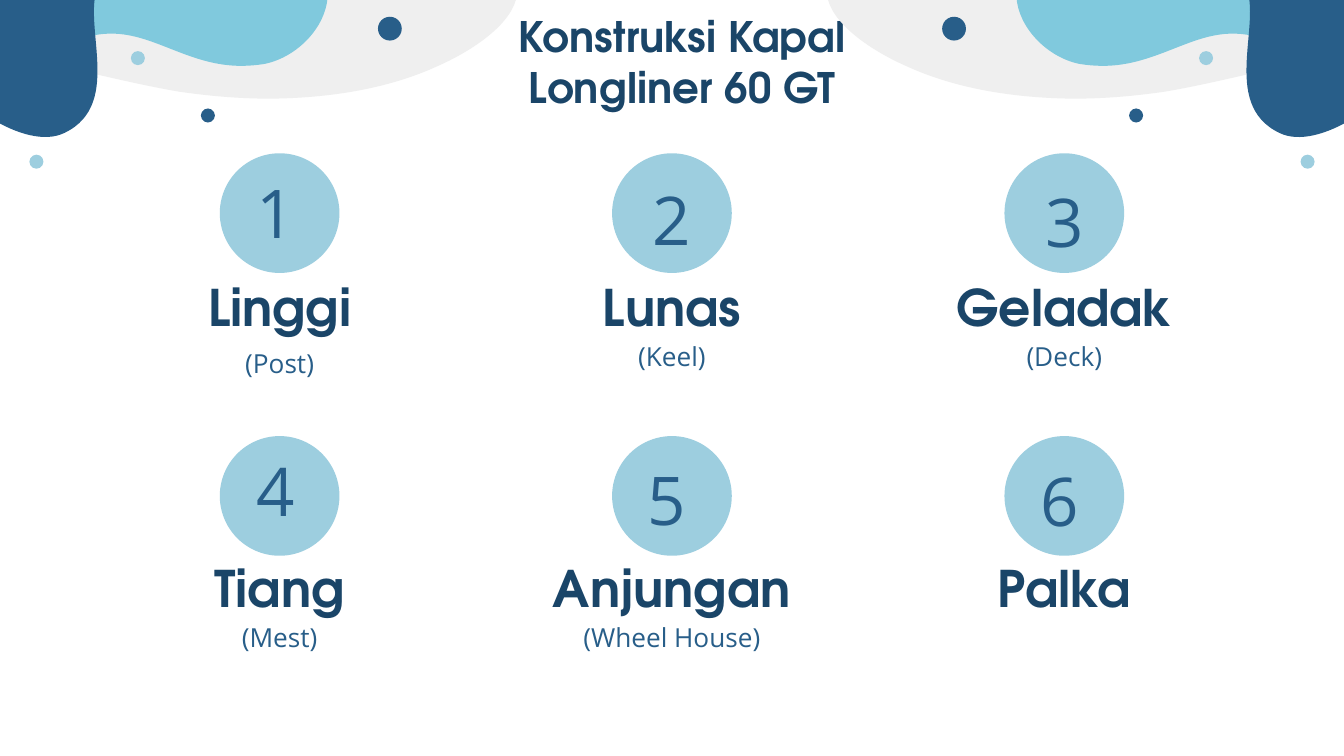
from math import cos, radians, sin

from lxml.etree import SubElement
from pptx import Presentation
from pptx.dml.color import RGBColor
from pptx.enum.shapes import MSO_SHAPE
from pptx.enum.text import MSO_ANCHOR, MSO_AUTO_SIZE, PP_ALIGN
from pptx.oxml.ns import qn
from pptx.util import Pt

# Content: name, translation, nudge of the number (x, y), nudge of the translation
TITLE = "Konstruksi Kapal Longliner 60 GT"
PARTS = [
    ("Linggi", "(Post)", (-2.5, 0), 5),
    ("Lunas", "(Keel)", (0, 5), 0),
    ("Geladak", "(Deck)", (0, 6.5), 0),
    ("Tiang", "(Mest)", (-2.5, -4), 0),
    ("Anjungan", "(Wheel House)", (-3.5, 2.5), 0),
    ("Palka", "", (-3.5, 3.5), 0),
]

NAVY = RGBColor(0x28, 0x5E, 0x89)
INK = RGBColor(0x1A, 0x45, 0x68)
TEAL = RGBColor(0x80, 0xC9, 0xDD)
SKY = RGBColor(0x9D, 0xCE, 0xDF)
GREY = RGBColor(0xEF, 0xEF, 0xEF)
HEADING_FONT, BODY_FONT = "TeX Gyre Adventor", "Open Sans"

WIDTH, HEIGHT = 960, 540
COLUMN_STEP, ROW_STEP = 280.25, 202
CIRCLE = 85.5
INSET = 9.6

# Left corner waves: colour, frame, rotation, start, then lines (x, y) and
# Bezier curves (two handles and an end point)
WAVES = [
    (GREY, (-350, -22.5, 723.5, 92.5), 0, (-216.5, -22.5),
     [(-143.5, -22.5, -69, -20, 4.5, -18.5), (74, -17.5, 144, -16.5, 214, -16.5),
      (317, -16.5), (320.5, -16.5, 324.5, -16.5, 330, -16.5),
      (348.5, -16.5, 373.5, -15, 368.5, 0), (363, 19.5, 335, 37.5, 312, 47.5),
      (277, 63.5, 235.5, 70, 193.5, 70.5), (170, 70.5, 149, 68.5, 128, 65.5),
      (101.5, 61, 75.5, 54.5, 50.5, 49), (-15, 32.5, -82, 16.5, -151, 10),
      (-188.5, 6.5, -226, 5, -263.5, 5), (-292.5, 5, -321, 5.5, -350, 6.5),
      (-350, -18.5), (-305.5, -21.5, -260.5, -22.5, -216.5, -22.5)]),
    (TEAL, (-15, -55.5, 250, 102.5), 180, (172, 47),
     [(178, 47, 183.5, 46.5, 189.5, 45.5), (212.5, 40.5, 232.5, 19.5, 234, -2),
      (234.5, -16.5, 227.5, -39, 207.5, -49.5), (200, -54, 193.5, -55.5, 187, -55.5),
      (183, -55.5, 178, -55, 173, -53.5), (116, -43, 59, -31.5, 0.5, -31.5),
      (-4.5, -31.5, -10, -31.5, -15, -31.5), (-11.5, -21, -11.5, -8.5, -8, 2),
      (-5, 13.5, 3, 31, 16, 36), (18.5, 37.5, 22.5, 37.5, 25, 37.5),
      (40.5, 37.5, 54.5, 24.5, 78, 24), (80, 24), (110, 24, 135.5, 47, 172, 47)]),
    (NAVY, (-17.5, -102, 147.5, 219.5), 54.7, (126, -84),
     [(131, -78, 134, -69, 131, -58), (125.5, -32.5, 85.5, -37.5, 71.5, -13),
      (56, 13.5, 90, 74, 46, 95), (18, 108.5, -32.5, 72, -54.5, 40.5),
      (-60, 34, -63.5, 27.5, -65, 21.5), (-65.5, 19.5, -43, -7, -39.5, -10),
      (-11.5, -34.5, 18.5, -56, 52, -74), (67, -83, 83, -91.5, 99.5, -99.5),
      (103.5, -101, 101.5, -100, 108, -98.5), (112.5, -97, 120, -93, 126, -84)]),
]
# Left corner dots: colour, centre x, centre y, diameter
DOTS = [(NAVY, 278.5, 20.5, 17), (SKY, 98.5, 41.5, 10),
        (NAVY, 148.5, 82.5, 10), (SKY, 26, 115.5, 10)]


def paint(shape, colour):
    shape.shadow.inherit = False
    shape.fill.solid()
    shape.fill.fore_color.rgb = colour
    shape.line.fill.background()


def add_circle(centre_x, centre_y, diameter, colour):
    circle = page.shapes.add_shape(
        MSO_SHAPE.OVAL, Pt(centre_x - diameter / 2), Pt(centre_y - diameter / 2),
        Pt(diameter), Pt(diameter))
    paint(circle, colour)


def add_wave(colour, frame, angle, start, segments, mirrored):
    left, top, width, height = frame
    centre_x, centre_y = left + width / 2, top + height / 2
    turn = radians(angle)

    def local(x, y):
        """Turn a page point back into the unrotated frame."""
        dx, dy = x - centre_x, y - centre_y
        across = dx * cos(turn) + dy * sin(turn) + width / 2
        down = dy * cos(turn) - dx * sin(turn) + height / 2
        return (width - across if mirrored else across), down

    if mirrored:
        left = WIDTH - left - width
    builder = page.shapes.build_freeform(Pt(left), Pt(top))
    builder.add_line_segments([(Pt(left + width), Pt(top + height))])
    wave = builder.convert_to_shape()
    wave.rotation = -angle if mirrored else angle
    paint(wave, colour)

    # Curved outline
    outline = next(wave.element.iter(qn("a:path")))
    for child in list(outline):
        outline.remove(child)
    kinds = {2: "a:lnTo", 6: "a:cubicBezTo"}
    steps = [("a:moveTo", start)] + [(kinds[len(part)], part) for part in segments]
    for kind, numbers in steps:
        step = SubElement(outline, qn(kind))
        for x, y in zip(numbers[::2], numbers[1::2]):
            across, down = local(x, y)
            SubElement(step, qn("a:pt"), x=str(int(Pt(across))), y=str(int(Pt(down))))
    SubElement(outline, qn("a:close"))


def write(box, text, *, centre, top, width, height, size, font, colour,
          bold=False, anchor=MSO_ANCHOR.TOP):
    box.left, box.top = Pt(centre - width / 2), Pt(top)
    box.width, box.height = Pt(width), Pt(height)
    frame = box.text_frame
    frame.word_wrap = True
    frame.auto_size = MSO_AUTO_SIZE.NONE
    frame.vertical_anchor = anchor
    frame.margin_left = frame.margin_right = Pt(INSET)
    frame.margin_top = frame.margin_bottom = Pt(INSET)
    para = frame.paragraphs[0]
    para.alignment = PP_ALIGN.CENTER
    span = para.add_run()
    span.text = text
    span.font.name, span.font.size, span.font.bold = font, Pt(size), bold
    span.font.color.rgb = colour


def add_text(text, **style):
    write(page.shapes.add_textbox(0, 0, 0, 0), text, **style)


deck = Presentation()
deck.slide_width, deck.slide_height = Pt(WIDTH), Pt(HEIGHT)
page = deck.slides.add_slide(deck.slide_layouts[5])

# Corner decoration, mirrored on the right
for mirrored in (True, False):
    for wave in WAVES:
        add_wave(*wave, mirrored)
    for colour, x, y, diameter in DOTS:
        add_circle(WIDTH - x if mirrored else x, y, diameter, colour)

# Title
write(page.shapes.title, TITLE, centre=487.25, top=-2, width=378, height=60.5,
      size=30, font=HEADING_FONT, colour=INK, bold=True)

# Numbered ship parts in a grid of three columns
for index, (name, translation, (shift_x, shift_y), drop) in enumerate(PARTS):
    row, column = divmod(index, 3)
    centre = WIDTH / 2 + (column - 1) * COLUMN_STEP
    top = 109.5 + row * ROW_STEP
    add_circle(centre, top + CIRCLE / 2, CIRCLE, SKY)
    add_text(str(index + 1), centre=centre + shift_x, top=top + 3.5 + shift_y,
             width=201.5, height=65, size=48, font=BODY_FONT, colour=NAVY)
    add_text(name, centre=centre, top=top + 90.5 - row * 1.5, width=261.5, height=37.5,
             size=36, font=HEADING_FONT, colour=INK, bold=True, anchor=MSO_ANCHOR.MIDDLE)
    if translation:
        add_text(translation, centre=centre, top=top + 124 - row * 1.5 + drop,
                 width=201.5, height=65, size=18.7, font=BODY_FONT, colour=NAVY)

deck.save("out.pptx")
